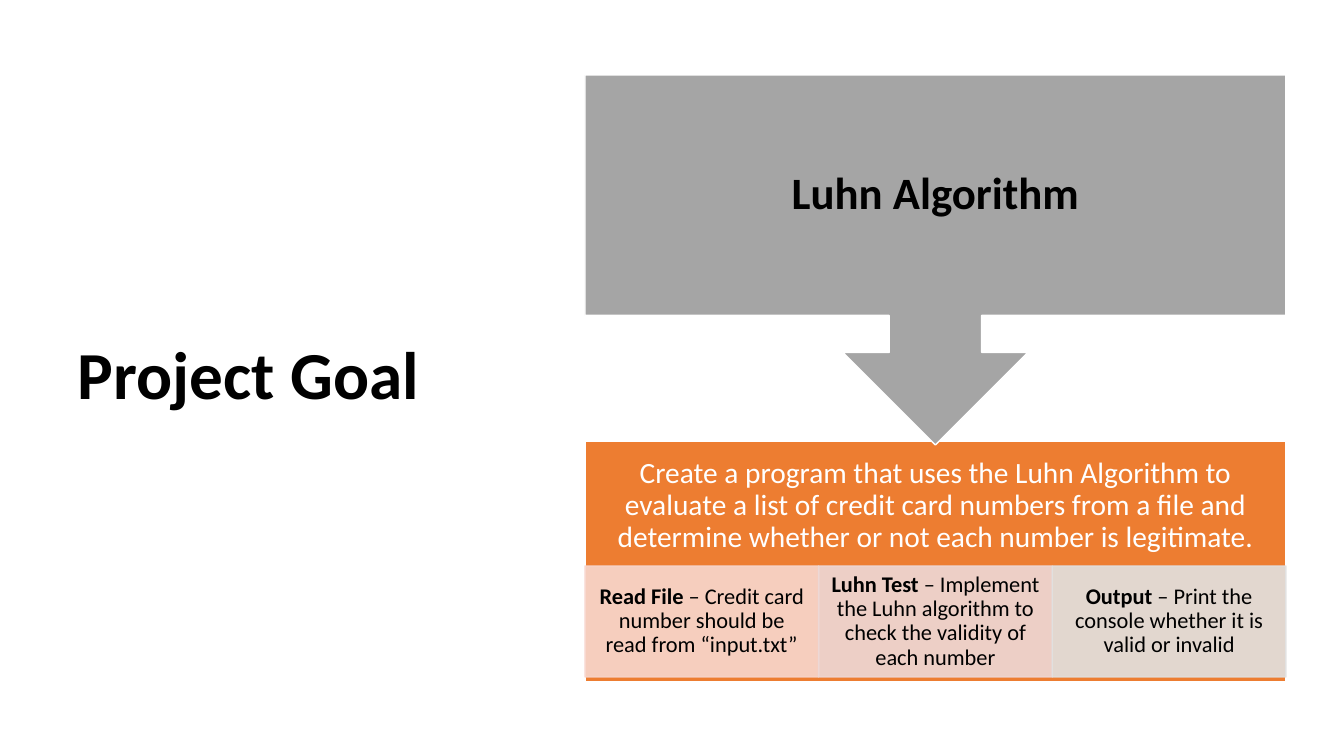
from lxml import etree
from pptx import Presentation
from pptx import util as u
from pptx.dml.color import RGBColor
from pptx.enum import shapes, text
from pptx.oxml.ns import qn

PX = 914400 / 100.8
FONT = "Calibri"
BLACK, WHITE, GREY, ORANGE = "000000", "FFFFFF", "A5A5A5", "ED7D31"
GOAL = ("Create a program that uses the Luhn Algorithm to evaluate a list of credit card "
        "numbers from a file and determine whether or not each number is legitimate.")
STEPS = [
    ("Read File", "– Credit card number should be read from “input.txt”", "F8D7CE"),
    ("Luhn Test", "– Implement the Luhn algorithm to check the validity of each number", "EDD9D7"),
    ("Output", "– Print the console whether it is valid or invalid", "E1E1E1"),
]


def px(length):
    return u.Emu(round(length * PX))


def color(value):
    return RGBColor.from_string(value)


def write(box, runs, size, ink=BLACK, align=text.PP_ALIGN.CENTER, insets=(10, 5, 10, 5)):
    """Fill a shape with one paragraph of (wording, bold) runs; insets go left, top, right, bottom."""
    frame = box.text_frame
    frame.word_wrap = True
    frame.vertical_anchor = text.MSO_ANCHOR.MIDDLE
    (frame.margin_left, frame.margin_top,
     frame.margin_right, frame.margin_bottom) = map(px, insets)
    para = frame.paragraphs[0]
    para.alignment = align
    para.line_spacing = 0.9
    for wording, bold in runs:
        span = para.add_run()
        span.text = wording
        span.font.name = FONT
        span.font.size = u.Pt(size)
        span.font.bold = bold
        span.font.color.rgb = color(ink)


def add_block(page, kind, area, fill, line, opacity=100):
    box = page.shapes.add_shape(kind, *map(px, area))
    box.shadow.inherit = False
    box.fill.solid()
    box.fill.fore_color.rgb = color(fill)
    box.line.color.rgb = color(line)
    box.line.width = u.Pt(1)
    if opacity < 100:
        for tone in box._element.spPr.iter(qn("a:srgbClr")):
            etree.SubElement(tone, qn("a:alpha"), val=str(opacity * 1000))
    return box


def add_title(page, area):
    title = page.shapes.title
    title.left, title.top, title.width, title.height = map(px, area)
    write(title, [("Project Goal", True)], 48, align=text.PP_ALIGN.LEFT)


def add_goal_panel(page, left, top, width, height):
    """Orange panel: the goal above a row of steps that leaves a thin strip below."""
    step_top, step_height, pad = 125, 111, 16
    panel = add_block(page, shapes.MSO_SHAPE.RECTANGLE, (left, top, width, height), ORANGE, WHITE)
    write(panel, [(GOAL, False)], 21, WHITE,
          insets=(pad, pad, pad, height - step_top - 5 + pad))
    step_width = width / len(STEPS)
    for index, (name, task, tint) in enumerate(STEPS):
        area = (left + index * step_width, top + step_top, step_width, step_height)
        step = add_block(page, shapes.MSO_SHAPE.RECTANGLE, area, tint, tint, opacity=90)
        write(step, [(name + " ", True), (task, False)], 16, insets=(12, 2, 12, 2))


def add_algorithm_callout(page, area):
    callout = add_block(page, shapes.MSO_SHAPE.DOWN_ARROW_CALLOUT, area, GREY, WHITE)
    write(callout, [("Luhn Algorithm", True)], 32, insets=(25, 25, 25, 25))


def main():
    deck = Presentation()
    deck.slide_width, deck.slide_height = px(1344), px(756)
    page = deck.slides.add_slide(deck.slide_layouts[5])
    add_title(page, (68, 128, 397, 499))
    add_goal_panel(page, 585, 441, 701, 241)
    add_algorithm_callout(page, (585, 75, 701, 370))
    deck.save("out.pptx")


if __name__ == "__main__":
    main()
